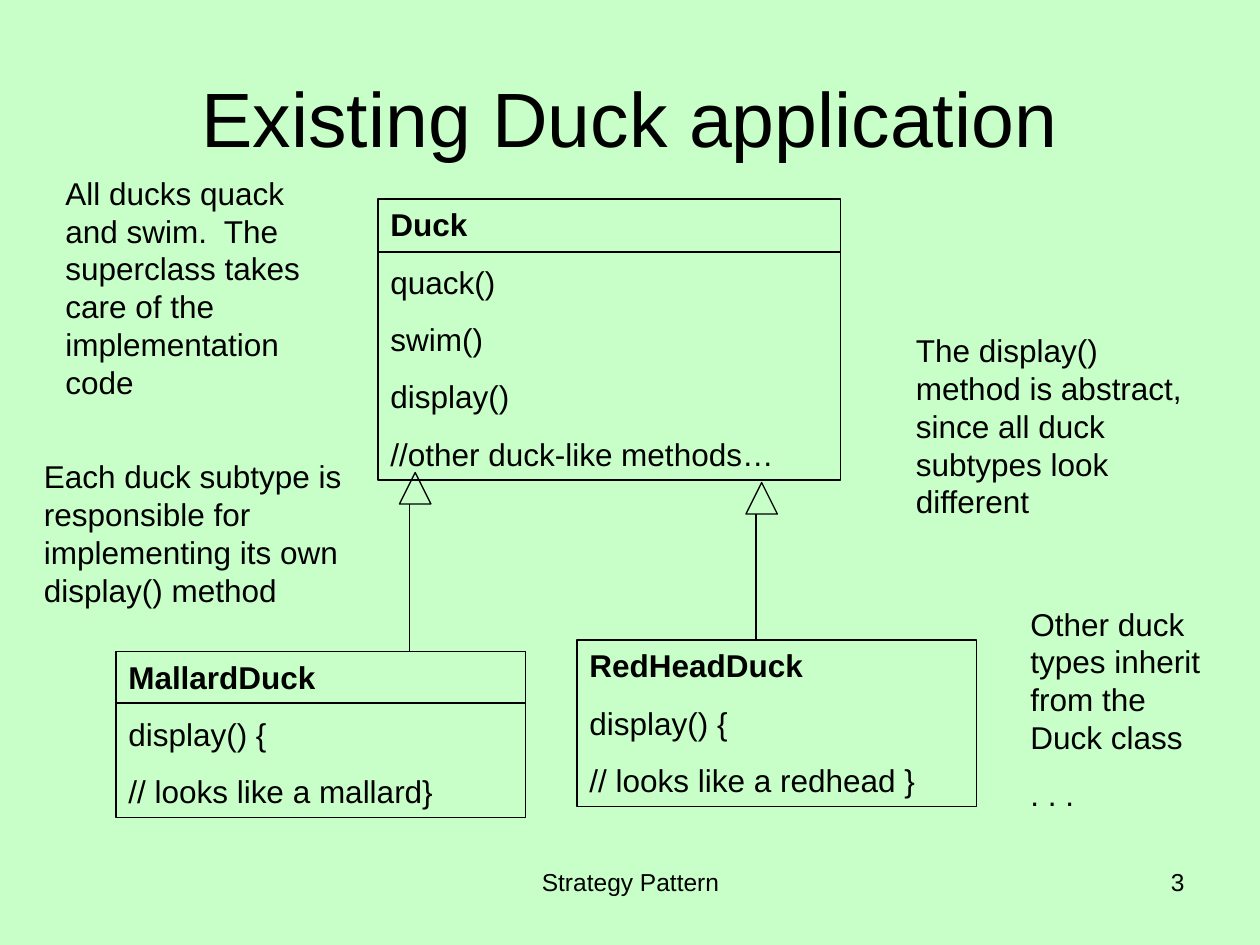
from lxml import etree
from pptx import Presentation
from pptx import util as u
from pptx.dml import color
from pptx.enum import shapes, text
from pptx.oxml import ns


def rgb(value):
    return color.RGBColor.from_string(value)


def add_text(tf, content, size=18, bold=False, align=text.PP_ALIGN.LEFT,
             before=0, first=False, ink="000000", font="Arial"):
    p = tf.paragraphs[0] if first else tf.add_paragraph()
    p.alignment = align
    p.space_before = u.Pt(before)
    r = p.add_run()
    r.text = content
    r.font.name = font
    r.font.size = u.Pt(size)
    r.font.bold = bold
    r.font.color.rgb = rgb(ink)


class Deck:
    ink = "000000"
    background = "C8FFC8"
    line_width = 0.75
    gap = 11.2

    def __init__(self):
        self.prs = Presentation()
        self.prs.slide_width = u.Inches(10)
        self.prs.slide_height = u.Inches(7.5)
        self.s = None

    def slide(self, title):
        self.s = self.prs.slides.add_slide(self.prs.slide_layouts[5])
        fill = self.s.background.fill
        fill.solid()
        fill.fore_color.rgb = rgb(self.background)
        sp = self.s.shapes.title
        sp.left, sp.top, sp.width, sp.height = map(u.Inches, (0.5, 0.3, 9, 1.25))
        sp.text_frame.vertical_anchor = text.MSO_ANCHOR.MIDDLE
        add_text(sp.text_frame, title, size=44, align=text.PP_ALIGN.CENTER, first=True)

    def outline(self, line):
        line.color.rgb = rgb(self.ink)
        line.width = u.Pt(self.line_width)

    def shape(self, kind, x, y, w, h):
        sp = self.s.shapes.add_shape(kind, *map(u.Inches, (x, y, w, h)))
        sp.shadow.inherit = False
        sp.fill.background()
        self.outline(sp.line)
        return sp

    def line(self, x1, y1, x2, y2):
        c = self.s.shapes.add_connector(
            shapes.MSO_CONNECTOR.STRAIGHT, *map(u.Inches, (x1, y1, x2, y2)))
        self.outline(c.line)
        etree.SubElement(c.element.spPr, ns.qn("a:effectLst"))

    def fill_text(self, sp, lines, heading=False):
        tf = sp.text_frame
        tf.word_wrap = True
        tf.auto_size = text.MSO_AUTO_SIZE.SHAPE_TO_FIT_TEXT
        tf.vertical_anchor = text.MSO_ANCHOR.TOP
        for i, content in enumerate(lines):
            add_text(tf, content, bold=heading and i == 0,
                     before=self.gap, first=i == 0)

    def class_box(self, x, y, w, h, lines, divider=None):
        sp = self.shape(shapes.MSO_SHAPE.RECTANGLE, x, y, w, h)
        self.fill_text(sp, lines, heading=True)
        if divider:
            self.line(x, divider, x + w, divider)

    def inheritance(self, x, top, bottom, size=0.25):
        self.shape(shapes.MSO_SHAPE.ISOSCELES_TRIANGLE, x - 0.08, top, size, size)
        self.line(x, top + size, x, bottom)

    def note(self, x, y, w, h, *lines):
        sp = self.s.shapes.add_textbox(*map(u.Inches, (x, y, w, h)))
        self.fill_text(sp, lines)

    def footer(self, x, w, content, align):
        sp = self.s.shapes.add_textbox(*map(u.Inches, (x, 6.83, w, 0.52)))
        sp.text_frame.word_wrap = True
        add_text(sp.text_frame, content, size=14, align=align, first=True)


def main():
    deck = Deck()
    deck.slide("Existing Duck application")
    deck.footer(3.42, 3.17, "Strategy Pattern", text.PP_ALIGN.CENTER)
    deck.footer(7.17, 2.33, "3", text.PP_ALIGN.RIGHT)

    deck.class_box(3, 1.58, 3.67, 2.23,
                   ["Duck", "quack()", "swim()", "display()",
                    "//other duck-like methods…"], divider=2)
    deck.class_box(0.92, 5.17, 3.25, 1.32,
                   ["MallardDuck", "display() {", "// looks like a mallard}"],
                   divider=5.58)
    deck.class_box(4.58, 5.08, 3.17, 1.32,
                   ["RedHeadDuck", "display() {", "// looks like a redhead }"])
    deck.inheritance(3.25, 3.75, 5.17)
    deck.inheritance(6, 3.83, 5.08)

    deck.note(7.17, 2.58, 2.42, 1.6,
              "The display() method is abstract, since all duck subtypes look different")
    deck.note(8.08, 4.75, 1.58, 1.76,
              "Other duck types inherit from the Duck class", ". . .")
    deck.note(0.25, 3.58, 2.58, 1.3,
              "Each duck subtype is responsible for implementing its own display() method")
    deck.note(0.42, 1.33, 2.25, 1.9,
              "All ducks quack and swim.  The superclass takes care of "
              "the implementation code")
    deck.prs.save("out.pptx")


if __name__ == "__main__":
    main()
